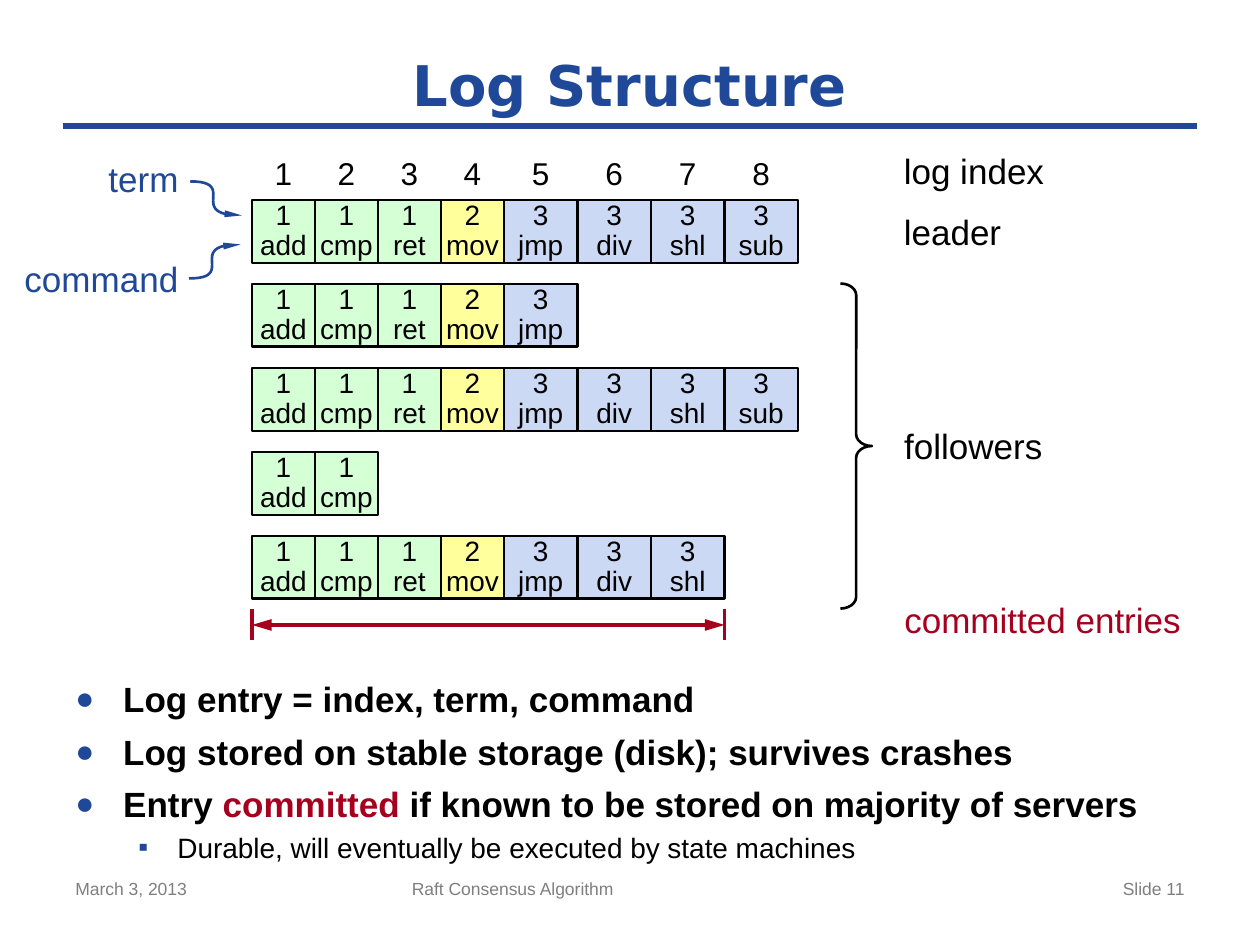
from lxml.etree import SubElement
from pptx import Presentation
from pptx.dml.color import RGBColor
from pptx.enum.shapes import MSO_CONNECTOR, MSO_SHAPE
from pptx.enum.text import MSO_ANCHOR as ANCHOR, PP_ALIGN as ALIGN
from pptx.oxml.ns import qn
from pptx.util import Inches, Pt

BLUE, RED, BLACK, GREY = "1F4899", "A5001E", "000000", "7F7F7F"
TERM_FILLS = {1: "D5FFD5", 2: "FFFF9B", 3: "CCD9F4"}
ENTRIES = [(1, "add"), (1, "cmp"), (1, "ret"), (2, "mov"),
           (3, "jmp"), (3, "div"), (3, "shl"), (3, "sub")]
LOG_LENGTHS = [8, 5, 8, 2, 7]
CELL_WIDTHS = [0.5] * 4 + [7 / 12] * 4
CELL_HEIGHT, ROW_PITCH = 0.5, 2 / 3


def rgb(code):
    """Turn a hex string into a colour."""
    return RGBColor.from_string(code)


def box(left, top, width, height):
    """Return a box in inches as lengths."""
    return [Inches(v) for v in (left, top, width, height)]


def write(paragraph, text, size=20, color=BLACK, bold=False, font="Arial",
          align=ALIGN.LEFT, spacing=None):
    """Add formatted text to a paragraph, with a line break at each newline."""
    paragraph.alignment = align
    if spacing:
        paragraph.line_spacing = Pt(spacing)
    for number, line in enumerate(text.split("\n")):
        if number:
            paragraph.add_line_break()
        run = paragraph.add_run()
        run.text = line
        run.font.size, run.font.bold, run.font.name = Pt(size), bold, font
        run.font.color.rgb = rgb(color)


def frame_up(frame, anchor=ANCHOR.TOP, wrap=True, inset=True):
    """Set the anchor, wrapping and insets of a text frame."""
    frame.vertical_anchor, frame.word_wrap = anchor, wrap
    if not inset:
        frame.margin_left = frame.margin_right = 0
        frame.margin_top = frame.margin_bottom = 0
    return frame.paragraphs[0]


def label(slide, place, text, anchor=ANCHOR.TOP, wrap=True, inset=True, **style):
    """Place one line of text in a box."""
    frame = slide.shapes.add_textbox(*box(*place)).text_frame
    write(frame_up(frame, anchor, wrap, inset), text, **style)


def outline(shape, color, width, ends=(), head_width="med"):
    """Set a line's colour, width and arrowheads."""
    shape.line.color.rgb = rgb(color)
    shape.line.width = Pt(width)
    for end in ends:
        SubElement(shape.line._get_or_add_ln(), qn("a:" + end),
                   type="triangle", w=head_width, len="lg")


def straight(slide, start, finish, color, width, ends=()):
    """Draw a straight line between two points."""
    points = [Inches(v) for v in (*start, *finish)]
    line = slide.shapes.add_connector(MSO_CONNECTOR.STRAIGHT, *points)
    outline(line, color, width, ends)
    SubElement(line._element.spPr, qn("a:effectLst"))


def pointer(slide, left, top, drop):
    """Draw an S-shaped arrow that ends lower or higher by drop."""
    xs, ys = (0, 0.39, -0.04, 0.41), (0, 0, drop, drop)
    steps = 24
    points = []
    for step in range(steps + 1):
        t = step / steps
        weights = ((1 - t) ** 3, 3 * t * (1 - t) ** 2, 3 * t * t * (1 - t), t ** 3)
        points.append((Inches(left + sum(w * x for w, x in zip(weights, xs))),
                       Inches(top + sum(w * y for w, y in zip(weights, ys)))))
    builder = slide.shapes.build_freeform(*points[0])
    builder.add_line_segments(points[1:], close=False)
    curve = builder.convert_to_shape()
    curve.shadow.inherit = False
    curve.fill.background()
    outline(curve, BLUE, 1.5, ["a:tailEnd"[2:]], head_width="sm")


def header(slide, left, top, width):
    """Place the title above its rule."""
    straight(slide, (left, top + 0.67), (left + width, top + 0.67), BLUE, 4)
    label(slide, (left, top, width, 0.67), "Log Structure", anchor=ANCHOR.MIDDLE,
          size=32, color=BLUE, bold=True, font="DejaVu Sans", align=ALIGN.CENTER)


def log_cell(slide, place, term, command):
    """Draw one log entry, coloured by its term."""
    cell = slide.shapes.add_shape(MSO_SHAPE.RECTANGLE, *box(*place))
    cell.shadow.inherit = False
    cell.fill.solid()
    cell.fill.fore_color.rgb = rgb(TERM_FILLS[term])
    outline(cell, BLACK, 1.5)
    first = frame_up(cell.text_frame, ANCHOR.MIDDLE, inset=False)
    write(first, f"{term}\n{command}", size=16, align=ALIGN.CENTER, spacing=17)


def logs(slide, left, top):
    """Draw the index row and the log of each server."""
    lefts = [left + sum(CELL_WIDTHS[:i]) for i in range(len(ENTRIES))]
    for index, (x, width) in enumerate(zip(lefts, CELL_WIDTHS), 1):
        label(slide, (x, top, width, 0.4), str(index), size=18, align=ALIGN.CENTER)
    for row, length in enumerate(LOG_LENGTHS):
        y = top + 5 / 12 + row * ROW_PITCH
        for x, width, entry in zip(lefts[:length], CELL_WIDTHS, ENTRIES):
            log_cell(slide, (x, y, width, CELL_HEIGHT), *entry)


def committed_span(slide, left, top, width):
    """Draw the arrow that spans the committed entries."""
    for x in (left, left + width):
        straight(slide, (x, top), (x, top + 0.25), RED, 2.25)
    straight(slide, (left, top + 0.13), (left + width, top + 0.13), RED, 2.25,
             ["headEnd", "tailEnd"])


def row_names(slide, left, top):
    """Name the rows on the right and bracket the followers."""
    brace = slide.shapes.add_shape(MSO_SHAPE.RIGHT_BRACE,
                                   *box(left - 0.5, top + 1.06, 0.25, 2.58))
    brace.shadow.inherit = False
    brace.fill.background()
    brace.adjustments[0], brace.adjustments[1] = 0.37, 0.5
    outline(brace, BLACK, 1.5)
    for name, drop, width, color in [("log index", 0, 1.12, BLACK),
                                     ("leader", 0.48, 0.78, BLACK),
                                     ("followers", 2.18, 1.11, BLACK),
                                     ("committed entries", 3.56, 2.21, RED)]:
        label(slide, (left, top + drop, width, 0.34), name, wrap=False, inset=False,
              color=color, align=ALIGN.CENTER)


def cell_names(slide, right, top):
    """Name the two parts of a log entry, with pointers."""
    for name, drop, width in [("term", 0, 0.56), ("command", 0.79, 1.23)]:
        label(slide, (right - width, top + drop, width, 0.34), name, wrap=False,
              inset=False, color=BLUE, align=ALIGN.CENTER)
    pointer(slide, right + 0.09, top + 0.19, 0.27)
    pointer(slide, right + 0.08, top + 0.96, -0.27)


def bullet(paragraph, mark, indent, hang, level=0, size=100):
    """Give a paragraph a blue bullet and a hanging indent."""
    paragraph.level = level
    props = paragraph._p.get_or_add_pPr()
    props.set("marL", str(Inches(indent)))
    props.set("indent", str(-Inches(hang)))
    SubElement(SubElement(props, qn("a:buClr")), qn("a:srgbClr"), val=BLUE)
    SubElement(props, qn("a:buSzPct"), val=str(size * 1000))
    SubElement(props, qn("a:buFont"), typeface="Arial")
    SubElement(props, qn("a:buChar"), char=mark)


def key_points(slide, left, top, width, height):
    """Write the bulleted statements."""
    frame = slide.shapes.add_textbox(*box(left, top, width, height)).text_frame
    paragraph = frame_up(frame)
    for runs in [[("Log entry = index, term, command", BLACK)],
                 [("Log stored on stable storage (disk); survives crashes", BLACK)],
                 [("Entry ", BLACK), ("committed", RED),
                  (" if known to be stored on majority of servers", BLACK)]]:
        paragraph.space_before = Pt(6)
        for text, color in runs:
            write(paragraph, text, color=color, bold=True)
        bullet(paragraph, "●", 0.38, 0.38, size=90)
        paragraph = frame.add_paragraph()
    paragraph.space_before = Pt(3)
    write(paragraph, "Durable, will eventually be executed by state machines", size=16)
    bullet(paragraph, "▪", 0.81, 0.31, level=1)


def footer(slide, left, top, width):
    """Write the date, the subject and the slide number."""
    for text, x, part, align in [
            ("March 3, 2013", left, 2.33, ALIGN.LEFT),
            ("Raft Consensus Algorithm", left + 2.67, 3.75, ALIGN.LEFT),
            ("Slide 11", left + width - 2.33, 2.33, ALIGN.RIGHT)]:
        label(slide, (x, top, part, 0.43), text, size=10, color=GREY, align=align)


def main():
    """Build and save the slide."""
    deck = Presentation()
    deck.slide_width, deck.slide_height = Inches(10), Inches(7.5)
    slide = deck.slides.add_slide(deck.slide_layouts[6])
    header(slide, 0.5, 0.33, 9)
    key_points(slide, 0.5, 5.33, 9, 1.58)
    footer(slide, 0.5, 6.92, 9)
    logs(slide, 2, 1.17)
    row_names(slide, 7.17, 1.19)
    committed_span(slide, 2, 4.83, sum(CELL_WIDTHS[:7]))
    cell_names(slide, 1.42, 1.25)
    deck.save("out.pptx")


main()
